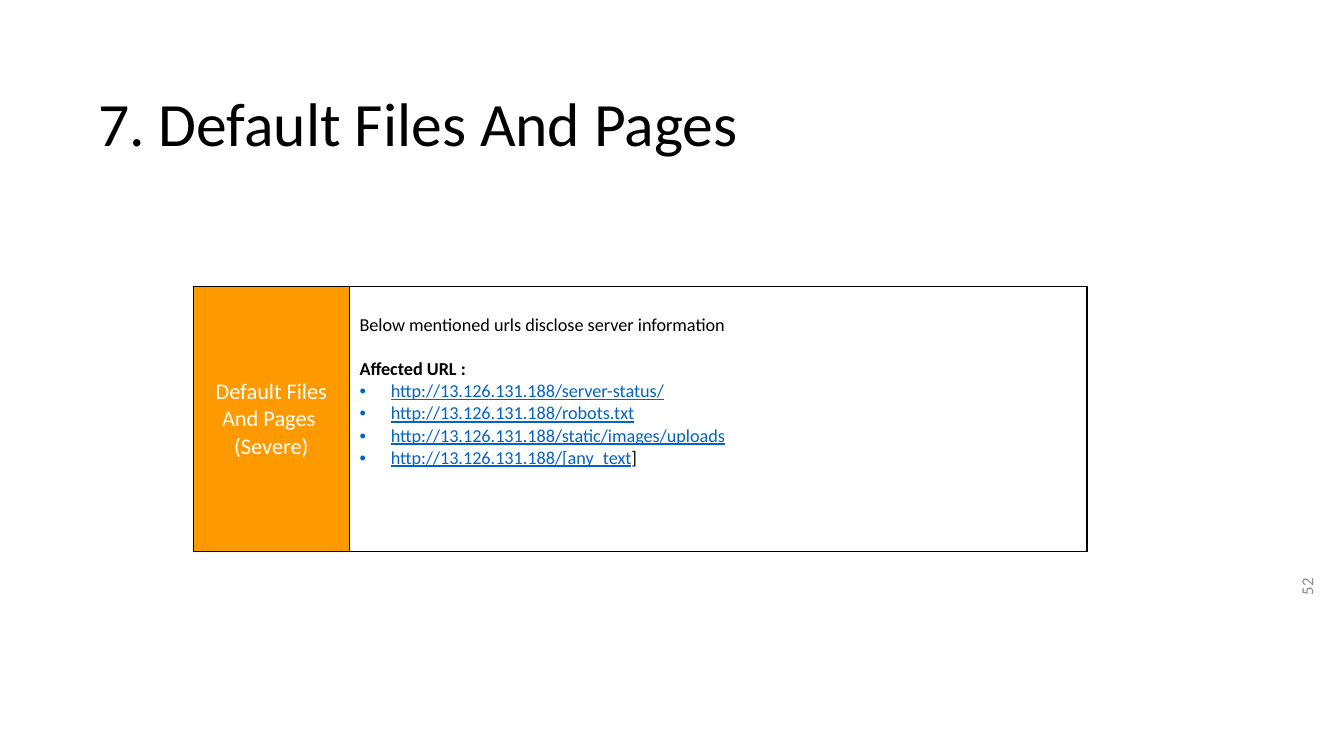
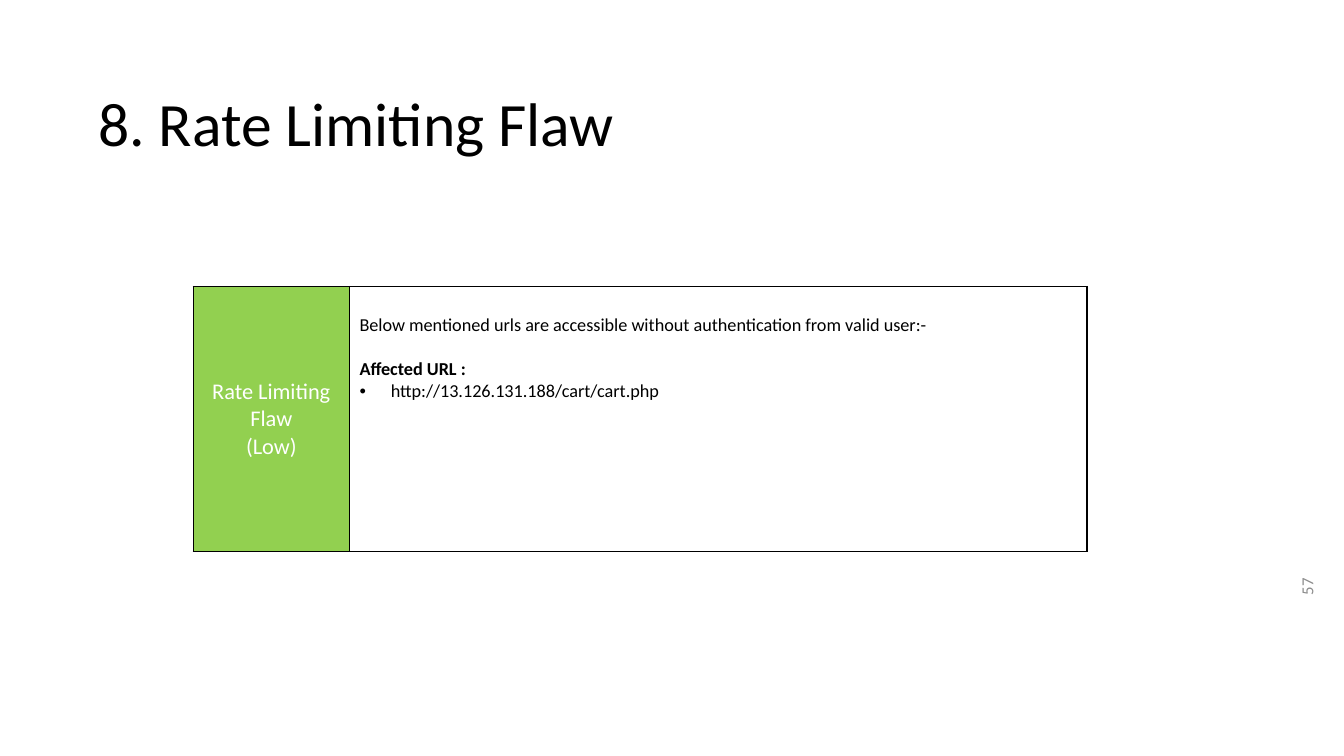
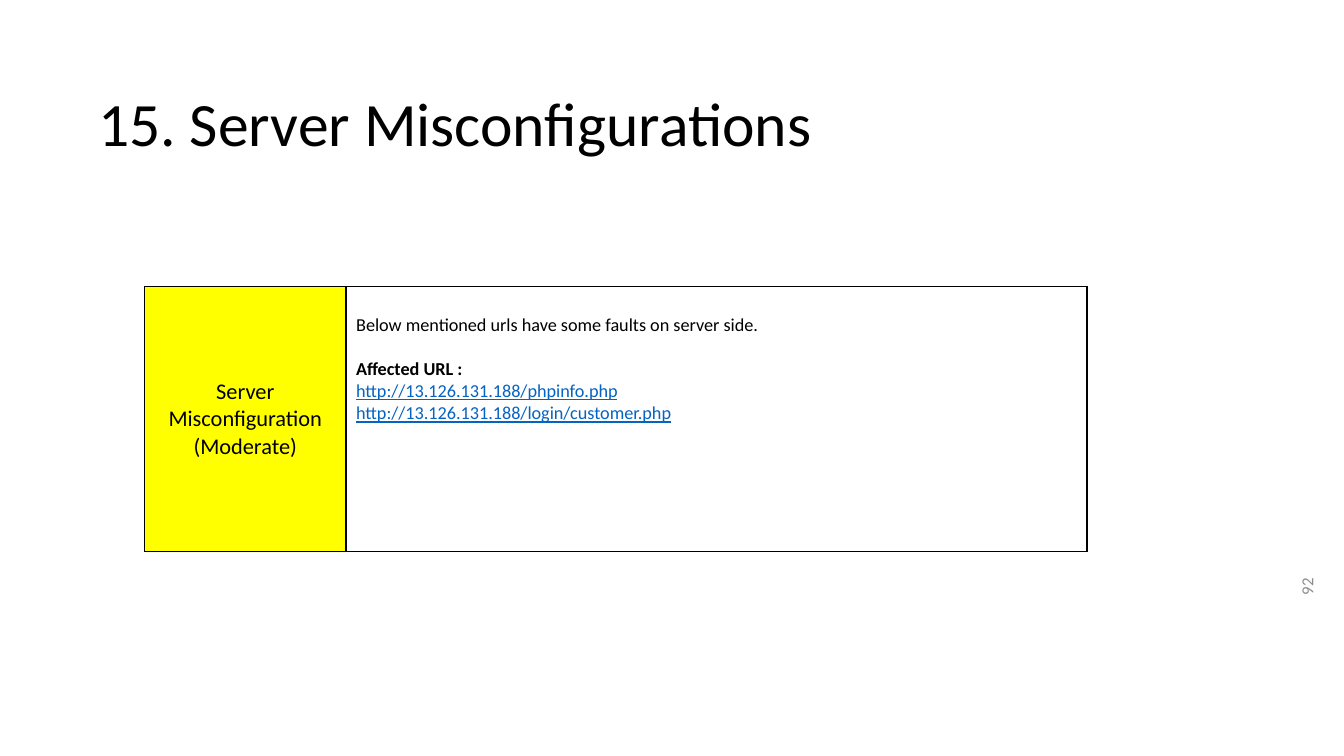
"""Build three vulnerability summary slides."""
from lxml.etree import SubElement
from pptx import Presentation
from pptx.dml.color import RGBColor
from pptx.enum.text import MSO_ANCHOR as Anchor, PP_ALIGN as Align
from pptx.oxml.ns import qn
from pptx.util import Inches, Pt

SLIDE_WIDTH, SLIDE_HEIGHT = Inches(13.33), Inches(7.5)
GRID_COLUMNS, GRID_ROWS = 160, 90
FONT = "Calibri"
BLACK, WHITE, GREY, LINK_BLUE = "000000", "FFFFFF", "8C8C8C", "0563C1"
SEVERITIES = {
    "Severe": ("FF9900", WHITE),
    "Low": ("92D050", WHITE),
    "Moderate": ("FFFF00", BLACK),
}
FORMATS = {
    "title": {"size": Pt(44)},
    "number": {"size": Pt(12)},
    "label": {"size": Pt(16)},
    "body": {"size": Pt(13)},
    "heading": {"size": Pt(13), "bold": True},
    "link": {"size": Pt(13), "underline": True},
}
TITLE_BOX = (10.5, 6.4, 138, 17.4)
NUMBER_BOX = (146.9, 73.3, 17.3, 6)
TABLE_TOP, TABLE_RIGHT = 28.7, 129.4
TABLE_ROWS = (5.4, 31.6)
BODY_LINE = Pt(15.9)
BULLET_INDENT = Inches(0.31)
PLAIN_TABLE_STYLE = "{2D5ABB26-0587-4C30-8999-92F81FD0307C}"

FINDINGS = [
    {
        "title": "7. Default Files And Pages", "number": "52",
        "name": "Default Files And Pages ", "severity": "Severe",
        "summary": "Below mentioned urls disclose server information",
        "urls": [
            [("http://13.126.131.188/server-status/", "link")],
            [("http://13.126.131.188/robots.txt", "link")],
            [("http://13.126.131.188/static/images/uploads", "link")],
            [("http://13.126.131.188/[any_text", "link"), ("]", "body")],
        ],
        "bulleted": True, "left": 23, "label_width": 18.6,
    },
    {
        "title": "8. Rate Limiting Flaw", "number": "57",
        "name": "Rate Limiting Flaw", "severity": "Low",
        "summary": "Below mentioned urls are accessible without authentication from valid user:-",
        "urls": [[("http://13.126.131.188/cart/cart.php", "body")]],
        "bulleted": True, "left": 23, "label_width": 18.6,
    },
    {
        "title": "15. Server Misconfigurations", "number": "92",
        "name": "Server Misconfiguration", "severity": "Moderate",
        "summary": "Below mentioned urls have some faults on server side.",
        "urls": [
            [("http://13.126.131.188/phpinfo.php", "link")],
            [("http://13.126.131.188/login/customer.php", "link")],
        ],
        "bulleted": False, "left": 17.2, "label_width": 24,
    },
]


def color(value):
    """Turn a hex string into a colour."""
    return RGBColor.from_string(value)


def across(columns):
    """Return the width of a number of grid columns."""
    return round(SLIDE_WIDTH * columns / GRID_COLUMNS)


def down(rows):
    """Return the height of a number of grid rows."""
    return round(SLIDE_HEIGHT * rows / GRID_ROWS)


def place(left, top, width, height):
    """Convert a grid rectangle to slide lengths."""
    return across(left), down(top), across(width), down(height)


def add_span(para, text, style, ink=BLACK):
    """Add a run of text in a named format."""
    span = para.add_run()
    span.text = text
    span.font.name = FONT
    span.font.color.rgb = color(ink)
    for name, value in FORMATS[style].items():
        setattr(span.font, name, value)


def add_bullet(para):
    """Give a paragraph a hanging bullet."""
    properties = para._p.get_or_add_pPr()
    properties.set("marL", str(BULLET_INDENT))
    properties.set("indent", str(-BULLET_INDENT))
    SubElement(properties, qn("a:buFont"), typeface="Arial")
    SubElement(properties, qn("a:buChar"), char="•")


def add_text(page, area, text, style, ink=BLACK, **layout):
    """Add a vertically centred text box."""
    box = page.shapes.add_textbox(*place(*area))
    frame = box.text_frame
    frame.word_wrap = True
    frame.vertical_anchor = Anchor.MIDDLE
    para = frame.paragraphs[0]
    for name, value in layout.items():
        setattr(para, name, value)
    add_span(para, text, style, ink)
    return box


def add_borders(cell, *sides):
    """Draw thin black lines on the given sides of a cell."""
    properties = cell._tc.get_or_add_tcPr()
    for side in sides:
        line = SubElement(properties, qn(f"a:ln{side}"), w=str(Pt(1)))
        fill = SubElement(line, qn("a:solidFill"))
        SubElement(fill, qn("a:srgbClr"), val=BLACK)


def fill_cell(cell, fill):
    """Outline a cell and fill it."""
    add_borders(cell, "L", "R", "T", "B")
    cell.fill.solid()
    cell.fill.fore_color.rgb = color(fill)


def write_label(cell, finding):
    """Write the name and severity of a finding."""
    fill, ink = SEVERITIES[finding["severity"]]
    fill_cell(cell, fill)
    cell.vertical_anchor = Anchor.MIDDLE
    frame = cell.text_frame
    lines = (finding["name"], f"({finding['severity']})")
    for para, text in zip((frame.paragraphs[0], frame.add_paragraph()), lines):
        para.alignment = Align.CENTER
        add_span(para, text, "label", ink)


def write_details(cell, finding):
    """Write the summary and affected addresses of a finding."""
    fill_cell(cell, WHITE)
    cell.margin_top = Inches(0.05) + BODY_LINE
    frame = cell.text_frame
    add_span(frame.paragraphs[0], finding["summary"], "body")
    heading = frame.add_paragraph()
    heading.space_before = BODY_LINE
    add_span(heading, "Affected URL :", "heading")
    for url in finding["urls"]:
        para = frame.add_paragraph()
        if finding["bulleted"]:
            add_bullet(para)
        for text, style in url:
            add_span(para, text, style, LINK_BLUE if style == "link" else BLACK)


def add_finding_table(page, finding):
    """Add the table with an empty top row and the finding below it."""
    left, label_width = finding["left"], finding["label_width"]
    width = TABLE_RIGHT - left
    area = place(left, TABLE_TOP, width, sum(TABLE_ROWS))
    table = page.shapes.add_table(2, 2, *area).table
    table.first_row = table.horz_banding = False
    table._tbl.tblPr.find(qn("a:tableStyleId")).text = PLAIN_TABLE_STYLE
    for column, share in zip(table.columns, (label_width, width - label_width)):
        column.width = across(share)
    for row, share in zip(table.rows, TABLE_ROWS):
        row.height = down(share)
    for cell in table.rows[0].cells:
        add_borders(cell, "B")
        cell.fill.background()
    write_label(table.cell(1, 0), finding)
    write_details(table.cell(1, 1), finding)


def add_finding_page(deck, finding):
    """Add one slide for a finding."""
    page = deck.slides.add_slide(deck.slide_layouts[6])
    number = add_text(page, NUMBER_BOX, finding["number"], "number", GREY,
                      alignment=Align.RIGHT)
    number.rotation = 270
    add_text(page, TITLE_BOX, finding["title"], "title", line_spacing=0.9)
    add_finding_table(page, finding)


def main():
    """Build and save the deck."""
    deck = Presentation()
    deck.slide_width, deck.slide_height = SLIDE_WIDTH, SLIDE_HEIGHT
    for finding in FINDINGS:
        add_finding_page(deck, finding)
    deck.save("out.pptx")


if __name__ == "__main__":
    main()
